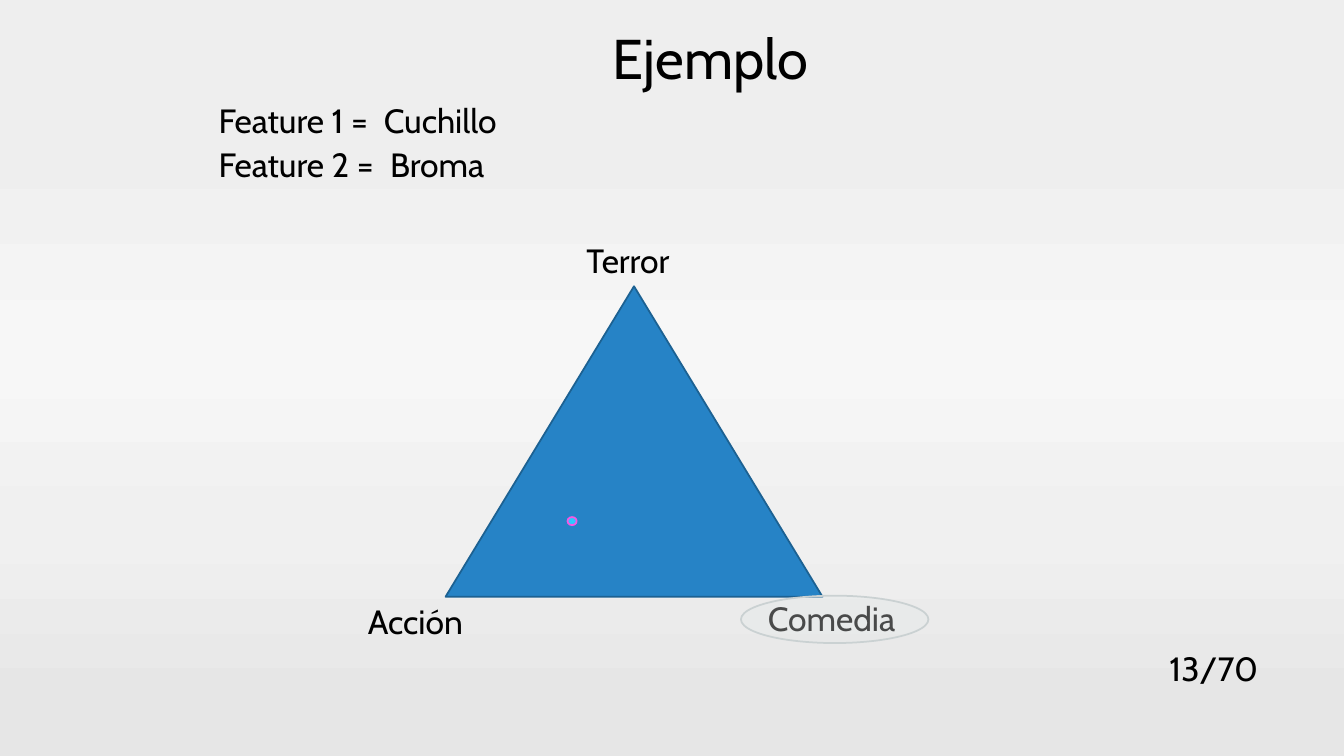
"""Build the example slide with a genre triangle, its labels and two features."""
import copy
from dataclasses import dataclass

import lxml.etree
import pptx
import pptx.dml.color
import pptx.enum.shapes
import pptx.enum.text
import pptx.oxml
import pptx.oxml.ns
import pptx.util

SHAPE = pptx.enum.shapes.MSO_SHAPE
ALIGN = pptx.enum.text.PP_ALIGN
qn = pptx.oxml.ns.qn

FONT = "Cabin"
COLOURS = {
    "text": "000000",
    "triangle": "2683C6",
    "triangle_line": "1C6192",
    "dot": "2DC8FF",
    "dot_line": "F658E3",
    "halo": "E4E8E8",
    "halo_line": "CAD1D2",
}
BACKGROUND = [(0, "EEEEEE"), (25, "F1F1F1"), (47, "F7F7F7"), (70, "F0F0F0"), (93, "E6E6E6")]
LABEL_WIDTH, LABEL_HEIGHT = 12.68, 7.33
FEATURE_LEFT, FEATURE_TOP, FEATURE_STEP = 15.53, 11.87, 5.73

deck = pptx.Presentation()
deck.slide_width = pptx.util.Inches(13.33)
deck.slide_height = pptx.util.Inches(7.5)


@dataclass
class Area:
    """Hold a rectangle in percent of the slide's width and height."""
    left: float
    top: float
    width: float = LABEL_WIDTH
    height: float = LABEL_HEIGHT

    def lengths(self) -> tuple[int, int, int, int]:
        """Return left, top, width and height as slide lengths."""
        across, down = deck.slide_width / 100, deck.slide_height / 100
        return (round(self.left * across), round(self.top * down),
                round(self.width * across), round(self.height * down))


@dataclass
class Figure:
    """Describe a filled shape."""
    kind: SHAPE
    area: Area
    colour: str
    opacity: int = 100


@dataclass
class Label:
    """Describe a line of text, with an optional tab stop in inches."""
    text: str
    area: Area
    tab: float = 0
    align: ALIGN = ALIGN.LEFT
    top_inset: float = 0.11


def rgb(name: str) -> pptx.dml.color.RGBColor:
    """Look up a colour by name."""
    return pptx.dml.color.RGBColor.from_string(COLOURS[name])


def paint_background(page) -> None:
    """Fill the page with the vertical grey gradient."""
    fill = page.background.fill
    fill.gradient()
    fill.gradient_angle = 270
    stops = page.background._cSld.find(".//" + qn("a:gsLst"))
    pattern = copy.deepcopy(stops[0])
    for stop in list(stops):
        stops.remove(stop)
    for percent, colour in BACKGROUND:
        stop = copy.deepcopy(pattern)
        stop.set("pos", str(percent * 1000))
        for child in list(stop):
            stop.remove(child)
        lxml.etree.SubElement(stop, qn("a:srgbClr"), val=colour)
        stops.append(stop)


def style(paragraph, size: int, align: ALIGN) -> None:
    """Set the alignment and font of a paragraph."""
    paragraph.alignment = align
    paragraph.font.name = FONT
    paragraph.font.size = pptx.util.Pt(size)
    paragraph.font.color.rgb = rgb("text")


def place_title(page, text: str, area: Area) -> None:
    """Move and format the title placeholder."""
    title = page.shapes.title
    title.left, title.top, title.width, title.height = area.lengths()
    title.text_frame.text = text
    title.text_frame.vertical_anchor = pptx.enum.text.MSO_ANCHOR.MIDDLE
    style(title.text_frame.paragraphs[0], 40, ALIGN.CENTER)


def draw_figure(page, figure: Figure) -> None:
    """Draw a filled shape with its outline."""
    shape = page.shapes.add_shape(figure.kind, *figure.area.lengths())
    shape.shadow.inherit = False
    shape.fill.solid()
    shape.fill.fore_color.rgb = rgb(figure.colour)
    shape.line.color.rgb = rgb(figure.colour + "_line")
    shape.line.width = pptx.util.Pt(1.25)
    if figure.opacity < 100:
        colour = shape.fill._xPr.find(qn("a:solidFill")).find(qn("a:srgbClr"))
        lxml.etree.SubElement(colour, qn("a:alpha"), val=str(figure.opacity * 1000))


def draw_label(page, label: Label) -> None:
    """Draw a line of text."""
    frame = page.shapes.add_textbox(*label.area.lengths()).text_frame
    frame.word_wrap = True
    frame.vertical_anchor = pptx.enum.text.MSO_ANCHOR.MIDDLE
    frame.margin_top = pptx.util.Inches(label.top_inset)
    paragraph = frame.paragraphs[0]
    paragraph.text = label.text
    if label.tab:
        tabs = lxml.etree.SubElement(paragraph._p.get_or_add_pPr(), qn("a:tabLst"))
        position = pptx.util.Inches(label.tab)
        lxml.etree.SubElement(tabs, qn("a:tab"), pos=str(position), algn="l")
    style(paragraph, 24, label.align)


FIGURES_AND_LABELS = [
    Figure(SHAPE.FLOWCHART_EXTRACT, Area(33.15, 37.87, 28.05, 41.07), "triangle"),
    Label("Terror", Area(42.9, 30.4)),
    Label("Acción", Area(26.63, 78.13)),
    Label("Comedia", Area(56.4, 77.73)),
    Figure(SHAPE.OVAL, Area(42.23, 68.4, 0.68, 1.07), "dot"),
    *(Label(text, Area(FEATURE_LEFT, FEATURE_TOP + row * FEATURE_STEP, 24.75), tab)
      for row, (text, tab) in enumerate([("Feature 1 =\tCuchillo", 1.64),
                                         ("Feature 2 =\tBroma", 1.7)])),
    Figure(SHAPE.OVAL, Area(55.13, 78.8, 13.95, 6.27), "halo", 32),
    Label("13/70", Area(79.2, 85.73, 15.15, 5.33), align=ALIGN.RIGHT, top_inset=0.05),
]


def main() -> None:
    """Build and save the deck."""
    page = deck.slides.add_slide(deck.slide_layouts[5])
    paint_background(page)
    place_title(page, "Ejemplo", Area(11.78, 0, 82.2, 15.2))
    for item in FIGURES_AND_LABELS:
        if isinstance(item, Figure):
            draw_figure(page, item)
        else:
            draw_label(page, item)
    deck.save("out.pptx")


if __name__ == "__main__":
    main()
